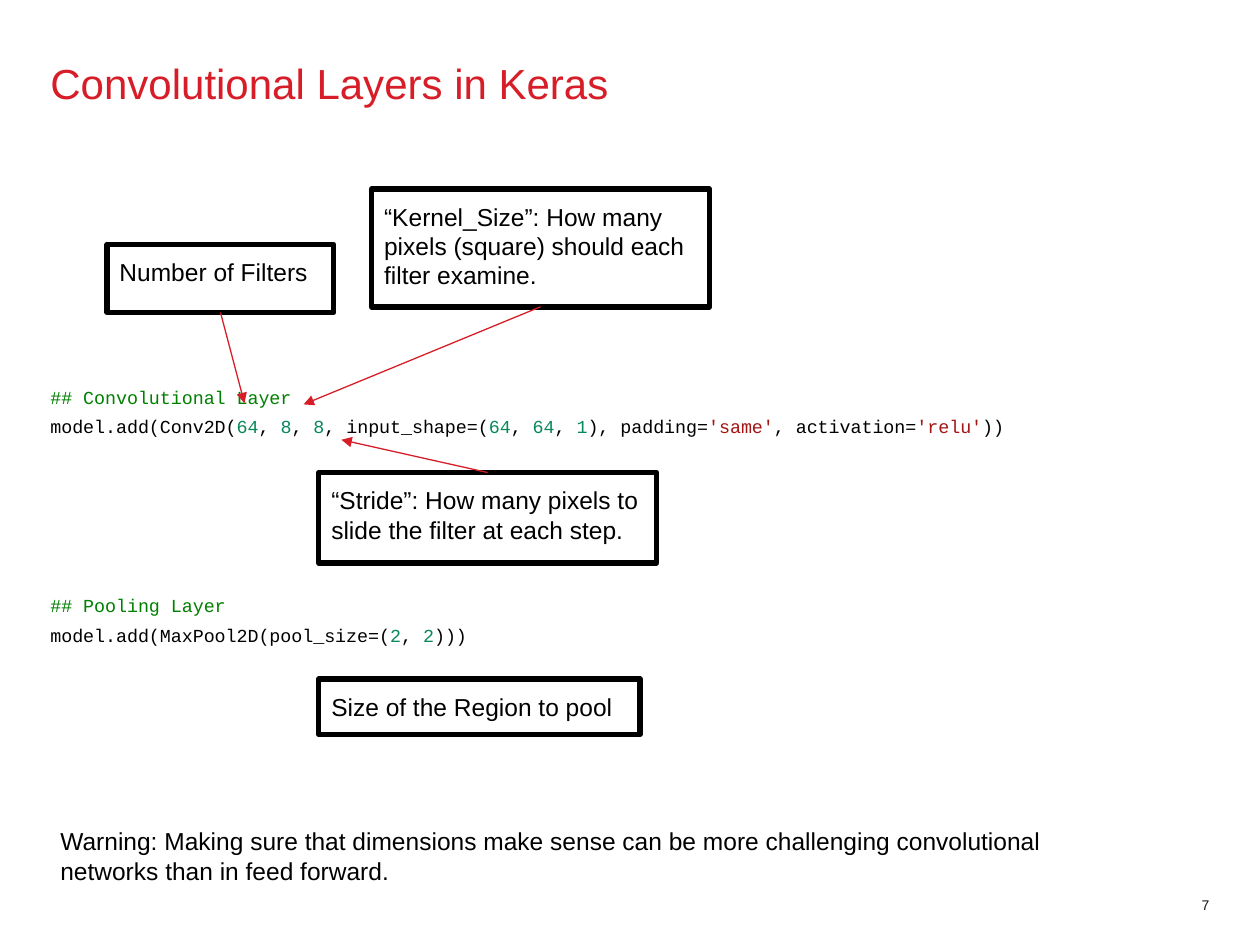
from lxml import etree
from pptx import Presentation
from pptx import util as u
from pptx.dml.color import RGBColor
from pptx.enum import shapes, text
from pptx.oxml import ns

Pt = u.Pt
RED, BLACK = "D71E28", "000000"
CODE = [
    (0, "## Convolutional Layer"),
    (0, "model.add(Conv2D(|64|, |8|, |8|, input_shape=(|64|, |64|, |1|), "
        "padding=|'same'|, activation=|'relu'|))"),
    (85, "## Pooling Layer"),
    (0, "model.add(MaxPool2D(pool_size=(|2|, |2|)))"),
]
NOTES = [
    (61.2, 139.7, 129.6, 38.9, "Number of Filters"),
    (212.4, 108, 193, 67.5, "“Kernel_Size”: How many pixels (square) "
     "should each filter examine."),
    (182.2, 270, 193, 51.8, "“Stride”: How many pixels to slide the filter "
     "at each step."),
    (182.2, 388.1, 183.6, 31.7, "Size of the Region to pool"),
]
ARROWS = [
    (126, 178.6, 139.7, 230.4),
    (308.9, 175.3, 173.5, 231.1),
    (278.6, 270, 195.1, 251.3),
]


def paint(part, hue):
    part.rgb = RGBColor.from_string(hue)


def style(run, size, hue, font="Arial"):
    run.font.size = Pt(size)
    run.font.name = font
    paint(run.font.color, hue)


def frame(shape, inset=0):
    box = shape.text_frame
    box.word_wrap = True
    box.auto_size = text.MSO_AUTO_SIZE.NONE
    box.vertical_anchor = text.MSO_ANCHOR.TOP
    box.margin_left = box.margin_right = Pt(inset)
    box.margin_top = box.margin_bottom = Pt(inset)
    return box


def write(shape, words, size=14, hue=BLACK, inset=0):
    box = frame(shape, inset)
    box.text = words
    para = box.paragraphs[0]
    para.alignment = text.PP_ALIGN.LEFT
    style(para.runs[0], size, hue)
    return para


def label(slide, x, y, w, h, words, **look):
    shape = slide.shapes.add_textbox(Pt(x), Pt(y), Pt(w), Pt(h))
    return write(shape, words, **look)


def note(slide, x, y, w, h, words):
    shape = slide.shapes.add_shape(
        shapes.MSO_SHAPE.RECTANGLE, Pt(x), Pt(y), Pt(w), Pt(h))
    shape.shadow.inherit = False
    shape.fill.background()
    paint(shape.line.color, BLACK)
    shape.line.width = Pt(3)
    write(shape, words, inset=7.2)


def arrow(slide, *ends):
    line = slide.shapes.add_connector(
        shapes.MSO_CONNECTOR.STRAIGHT, *map(Pt, ends))
    paint(line.line.color, RED)
    line.line.width = Pt(0.75)
    stroke = line.line._get_or_add_ln()
    etree.SubElement(stroke, ns.qn("a:tailEnd"), type="triangle")
    etree.SubElement(line._element.spPr, ns.qn("a:effectLst"))


def shade(token):
    if token.startswith("#"):
        return "008000"
    if token.startswith("'"):
        return "A31515"
    return "09885A" if token.isdigit() else BLACK


def code(slide, x, y, w, h, lines):
    box = frame(slide.shapes.add_textbox(Pt(x), Pt(y), Pt(w), Pt(h)))
    for i, (gap, line) in enumerate(lines):
        para = box.add_paragraph() if i else box.paragraphs[0]
        para.line_spacing = Pt(17)
        para.space_before = Pt(gap)
        for token in line.split("|"):
            run = para.add_run()
            run.text = token
            style(run, 10.5, shade(token), "Courier New")


def head(slide, words):
    title = slide.shapes.title
    title.left, title.top = Pt(28.8), Pt(36)
    title.width, title.height = Pt(662.4), Pt(79.2)
    write(title, words, size=24, hue=RED).line_spacing = 0.9


def main():
    deck = Presentation()
    deck.slide_width, deck.slide_height = Pt(720), Pt(540)
    slide = deck.slides.add_slide(deck.slide_layouts[5])
    head(slide, "Convolutional Layers in Keras")
    code(slide, 28.8, 216, 607.7, 159.8, CODE)
    page = label(slide, 662.4, 504, 28.8, 18, "7", size=8, hue="141414")
    page.alignment = text.PP_ALIGN.RIGHT
    slide.shapes[-1].text_frame.vertical_anchor = text.MSO_ANCHOR.BOTTOM
    label(slide, 27.4, 465.1, 622.1, 38.9,
          "Warning: Making sure that dimensions make sense can be more "
          "challenging convolutional networks than in feed forward.",
          inset=7.2)
    for item in NOTES:
        note(slide, *item)
    for ends in ARROWS:
        arrow(slide, *ends)
    deck.save("out.pptx")


main()
